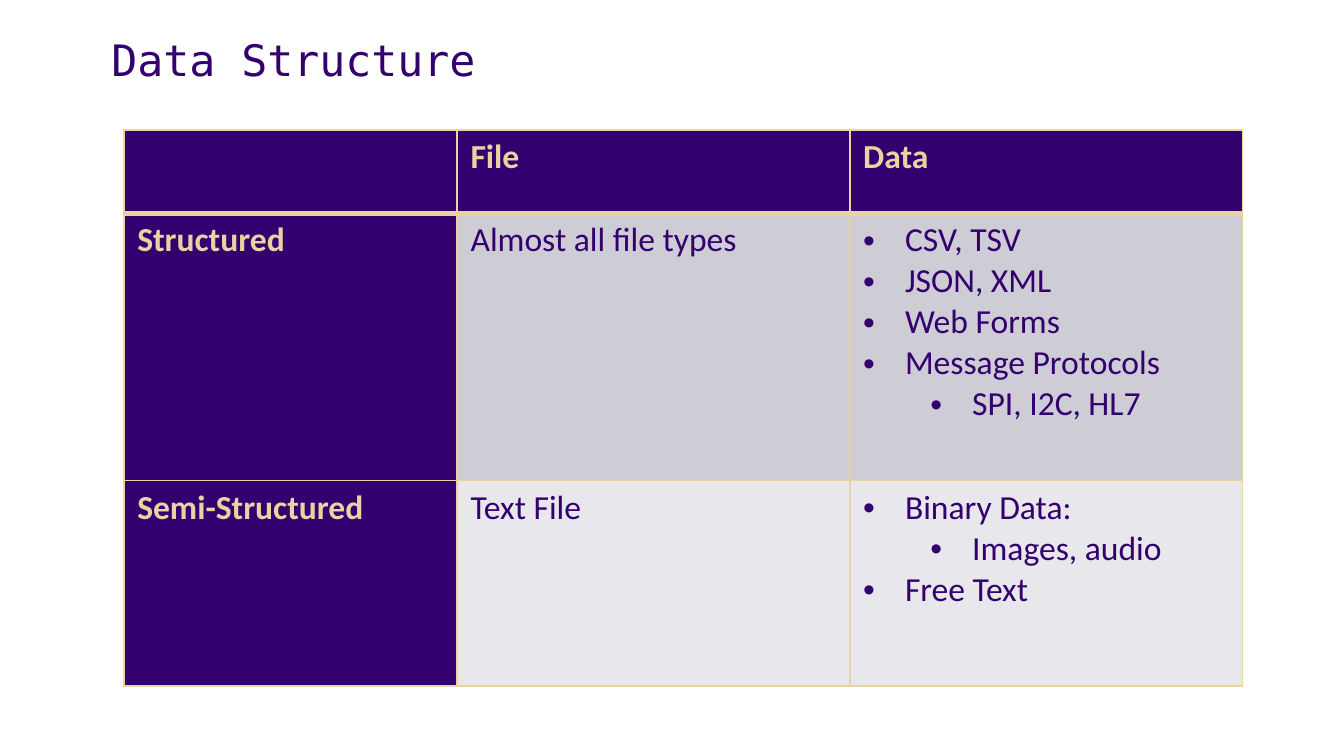
"""Build the data structure slide with its comparison table."""
from dataclasses import dataclass

from lxml import etree
from pptx import Presentation
from pptx import util as u
from pptx.dml.color import RGBColor
from pptx.enum import text as t
from pptx.oxml import ns

PURPLE = RGBColor(0x33, 0x00, 0x6F)
GOLD = RGBColor(0xE8, 0xD3, 0xA2)
GREY = RGBColor(0xCE, 0xCC, 0xD5)
PALE = RGBColor(0xE8, 0xE7, 0xEB)

COLUMN_WIDTHS = (6.3, 7.42, 7.42)
INDENT = u.Cm(0.79)
LEVEL_STEP = u.Cm(1.27)


@dataclass(frozen=True)
class Bullet:
    text: str
    level: int = 0


@dataclass(frozen=True)
class Row:
    label: str
    file: str
    data: str | tuple[Bullet, ...]
    height: float
    fill: RGBColor
    header: bool = False


ROWS = (
    Row("", "File", "Data", 1.57, PURPLE, header=True),
    Row("Structured", "Almost all file types", (
        Bullet("CSV, TSV"), Bullet("JSON, XML"), Bullet("Web Forms"),
        Bullet("Message Protocols"), Bullet("SPI, I2C, HL7", 1)), 5.05, GREY),
    Row("Semi-Structured", "Text File", (
        Bullet("Binary Data:"), Bullet("Images, audio", 1),
        Bullet("Free Text")), 3.89, PALE),
)


def write(paragraph, text: str, *, size: float = 18, font: str = "Calibri",
          color: RGBColor = PURPLE, bold: bool = False) -> None:
    """Add a formatted run to a paragraph."""
    run = paragraph.add_run()
    run.text = text
    run.font.size = u.Pt(size)
    run.font.name = font
    run.font.color.rgb = color
    run.font.bold = bold


def add_bullet(paragraph, level: int) -> None:
    """Give a paragraph a hanging round bullet."""
    paragraph.level = level
    properties = paragraph._p.get_or_add_pPr()
    properties.set("marL", str(INDENT + level * LEVEL_STEP))
    properties.set("indent", str(-INDENT))
    etree.SubElement(properties, ns.qn("a:buFont"), typeface="Arial")
    etree.SubElement(properties, ns.qn("a:buChar"), char="•")


def add_borders(cell, top: float, bottom: float) -> None:
    """Draw gold lines on the four sides of a cell."""
    properties = cell._tc.get_or_add_tcPr()
    widths = {"lnL": 1, "lnR": 1, "lnT": top, "lnB": bottom}
    for position, (side, width) in enumerate(widths.items()):
        line = etree.Element(ns.qn(f"a:{side}"), w=str(u.Pt(width)))
        fill = etree.SubElement(line, ns.qn("a:solidFill"))
        etree.SubElement(fill, ns.qn("a:srgbClr"), val=str(GOLD))
        properties.insert(position, line)


def fill_cell(cell, content: str | tuple[Bullet, ...], fill: RGBColor) -> None:
    """Colour a cell and write its plain or bulleted content."""
    cell.fill.solid()
    cell.fill.fore_color.rgb = fill
    dark = fill == PURPLE
    style = {"color": GOLD if dark else PURPLE, "bold": dark}
    frame = cell.text_frame
    if isinstance(content, str):
        if content:
            write(frame.paragraphs[0], content, **style)
        return
    for index, bullet in enumerate(content):
        paragraph = frame.add_paragraph() if index else frame.paragraphs[0]
        add_bullet(paragraph, bullet.level)
        write(paragraph, bullet.text, **style)


def add_title(slide, text: str) -> None:
    """Place and format the title placeholder."""
    title = slide.shapes.title
    title.left, title.top = u.Cm(1.85), u.Cm(0.76)
    title.width, title.height = u.Cm(22.73), u.Cm(0.94)
    frame = title.text_frame
    frame.auto_size = t.MSO_AUTO_SIZE.NONE
    frame.vertical_anchor = t.MSO_ANCHOR.TOP
    paragraph = frame.paragraphs[0]
    paragraph.alignment = t.PP_ALIGN.LEFT
    paragraph.line_spacing = 0.7
    paragraph.space_before = u.Pt(4.6)
    write(paragraph, text, size=23.2, font="DejaVu Sans Mono")


def add_comparison(slide, rows: tuple[Row, ...]) -> None:
    """Add the table that compares file and data structure."""
    table = slide.shapes.add_table(
        len(rows), len(COLUMN_WIDTHS), u.Cm(2.34), u.Cm(2.46),
        u.Cm(sum(COLUMN_WIDTHS)), u.Cm(sum(row.height for row in rows))).table
    for column, width in zip(table.columns, COLUMN_WIDTHS):
        column.width = u.Cm(width)
    for index, row in enumerate(rows):
        table.rows[index].height = u.Cm(row.height)
        top = 3 if index and rows[index - 1].header else 1
        bottom = 3 if row.header else 1
        contents = (row.label, row.file, row.data)
        fills = (PURPLE, row.fill, row.fill)
        for cell, content, fill in zip(table.rows[index].cells, contents, fills):
            fill_cell(cell, content, fill)
            add_borders(cell, top, bottom)


def main() -> None:
    """Create and save the presentation."""
    presentation = Presentation()
    presentation.slide_width, presentation.slide_height = u.Cm(25.4), u.Cm(14.29)
    slide = presentation.slides.add_slide(presentation.slide_layouts[5])
    add_title(slide, "Data Structure")
    add_comparison(slide, ROWS)
    presentation.save("out.pptx")


if __name__ == "__main__":
    main()
